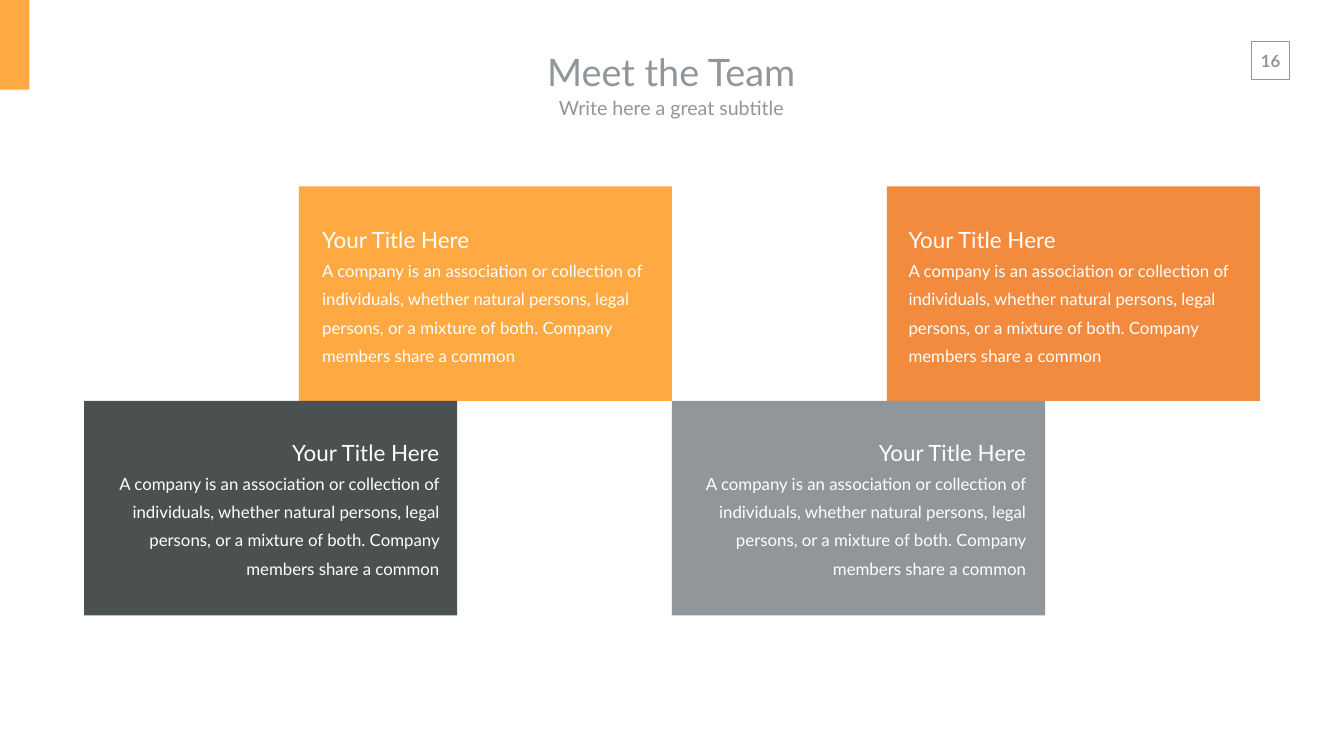
from collections import namedtuple
from dataclasses import dataclass

from pptx import Presentation
from pptx.dml.color import RGBColor
from pptx.enum.shapes import MSO_SHAPE as Shape
from pptx.enum.text import MSO_ANCHOR as Anchor, MSO_AUTO_SIZE as AutoSize, PP_ALIGN as Align
from pptx.util import Pt

Box = namedtuple("Box", "left top width height")
Card = namedtuple("Card", "column row color indent")


@dataclass(frozen=True)
class Theme:
    """Colours, font and type sizes of the slide."""
    amber: str = "FFA943"
    orange: str = "F28B3E"
    dark: str = "4B5050"
    gray: str = "91969B"
    white: str = "FFFFFF"
    font: str = "Lato"
    title: int = 54
    heading: int = 32
    subtitle: int = 28
    body: int = 24


THEME = Theme()
CARD_WIDTH, CARD_HEIGHT = 532.8, 306.3
COLUMN_STEP = 839.5
ROW_LEFTS = (427, 120.25)
ROW_TEXT_TOPS = (37.4, 35.3)
ROW_ALIGNS = (Align.LEFT, Align.RIGHT)
CARDS_TOP = 266.4
HEADING = "Your Title Here"
BODY = (
    "A company is an association or collection of individuals, whether natural persons, "
    "legal persons, or a mixture of both. Company members share a common"
)
CARDS = (
    Card(0, 0, THEME.amber, 26),
    Card(1, 0, THEME.orange, 24),
    Card(0, 1, THEME.dark, 24),
    Card(1, 1, THEME.gray, 22.3),
)


def add_rectangle(page, box, fill=None, line=None):
    """Draw a flat rectangle with an optional fill and outline."""
    shape = page.shapes.add_shape(Shape.RECTANGLE, *map(Pt, box))
    shape.shadow.inherit = False
    if fill:
        shape.fill.solid()
        shape.fill.fore_color.rgb = RGBColor.from_string(fill)
    else:
        shape.fill.background()
    if line:
        shape.line.color.rgb = RGBColor.from_string(line)
        shape.line.width = Pt(1)
    else:
        shape.line.fill.background()


def add_text(page, box, lines, color, align=Align.CENTER, anchor=Anchor.TOP,
             margins=(7.2, 3.6), spacing=None, wrap=True, bold=False):
    """Place one paragraph for each (text, size) pair."""
    frame = page.shapes.add_textbox(*map(Pt, box)).text_frame
    frame.word_wrap = wrap
    frame.auto_size = AutoSize.SHAPE_TO_FIT_TEXT
    frame.vertical_anchor = anchor
    frame.margin_left = frame.margin_right = Pt(margins[0])
    frame.margin_top = frame.margin_bottom = Pt(margins[1])
    for index, (text, size) in enumerate(lines):
        para = frame.add_paragraph() if index else frame.paragraphs[0]
        para.alignment = align
        if spacing:
            para.line_spacing = spacing
        span = para.add_run()
        span.text = text
        span.font.name = THEME.font
        span.font.size = Pt(size)
        span.font.bold = bold
        span.font.color.rgb = RGBColor.from_string(color)


def add_page_number(page, box, number):
    """Draw the outlined page number."""
    add_rectangle(page, box, line=THEME.gray)
    label = Box(box.left - 2.2, box.top + 5.8, box.width + 4.3, 43.9)
    add_text(page, label, [(number, THEME.body)], THEME.gray,
             margins=(14.4, 7.2), wrap=False, bold=True)


def add_header(page, box):
    """Place the title with its subtitle below."""
    title = box._replace(height=85)
    subtitle = box._replace(top=box.top + 67, height=53.3)
    for area, text, size in (
        (title, "Meet the Team", THEME.title),
        (subtitle, "Write here a great subtitle", THEME.subtitle),
    ):
        add_text(page, area, [(text, size)], THEME.gray,
                 anchor=Anchor.MIDDLE, margins=(19.4, 9.4))


def add_card(page, box, card):
    """Draw a coloured card with its heading and body."""
    add_rectangle(page, box, fill=card.color)
    area = Box(box.left + card.indent, box.top + ROW_TEXT_TOPS[card.row], 490.3, 222.5)
    add_text(page, area, [(HEADING, THEME.heading), (BODY, THEME.body)],
             THEME.white, align=ROW_ALIGNS[card.row], spacing=1.4)


def main():
    """Build and save the team slide."""
    deck = Presentation()
    deck.slide_width, deck.slide_height = Pt(1919.52), Pt(1080)
    page = deck.slides.add_slide(deck.slide_layouts[6])
    add_rectangle(page, Box(0, 0, 41.8, 128.2), fill=THEME.amber)
    add_page_number(page, Box(1787.8, 59, 54, 54), "16")
    add_header(page, Box(586.8, 59.8, 743.8, 120.3))
    for card in CARDS:
        left = ROW_LEFTS[card.row] + card.column * COLUMN_STEP
        top = CARDS_TOP + card.row * CARD_HEIGHT
        add_card(page, Box(left, top, CARD_WIDTH, CARD_HEIGHT), card)
    deck.save("out.pptx")


if __name__ == "__main__":
    main()
